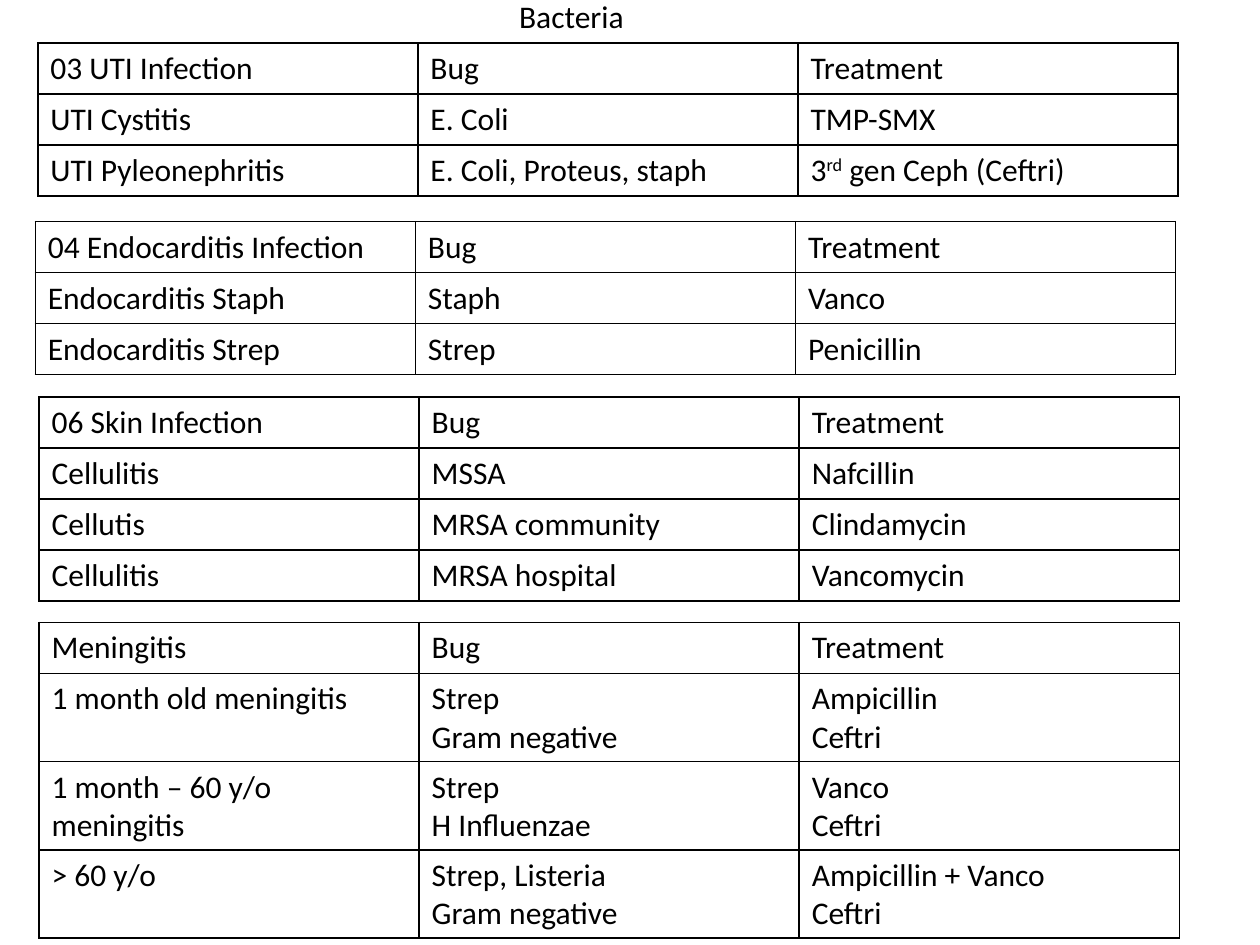
from lxml import etree
from pptx import Presentation
from pptx.dml.color import RGBColor
from pptx.enum import text
from pptx.oxml import ns
from pptx.util import Inches, Pt

COLORS = {"ink": "000000", "rule": "000000"}
COLUMN_WIDTH = Inches(9.05 / 3)
LINE_ROW = Inches(1.62 / 4)
DOUBLE_ROW = Inches(0.7)
HEADINGS = ["Bug", "Treatment"]

# left, top, first heading, body rows; a list inside a row holds paragraphs or,
# as a (text, baseline) tuple, spans of one paragraph
TABLES = [
    (0.3, 0.34, "03 UTI Infection", [
        ["UTI Cystitis", "E. Coli", "TMP-SMX"],
        ["UTI Pyleonephritis", "E. Coli, Proteus, staph",
         [[("3", 0), ("rd", 30), (" gen Ceph (Ceftri)", 0)]]],
    ]),
    (0.28, 1.76, "04 Endocarditis Infection", [
        ["Endocarditis Staph", "Staph", "Vanco"],
        ["Endocarditis Strep", "Strep", "Penicillin"],
    ]),
    (0.31, 3.15, "06 Skin Infection", [
        ["Cellulitis", "MSSA", "Nafcillin"],
        ["Cellutis", "MRSA community", "Clindamycin"],
        ["Cellulitis", "MRSA hospital", "Vancomycin"],
    ]),
    (0.31, 4.94, "Meningitis", [
        ["1 month old meningitis", ["Strep", "Gram negative"],
         ["Ampicillin", "Ceftri"]],
        ["1 month – 60 y/o meningitis", ["Strep", "H Influenzae"],
         ["Vanco", "Ceftri"]],
        ["> 60 y/o", ["Strep, Listeria", "Gram negative"],
         ["Ampicillin + Vanco", "Ceftri"]],
    ]),
]


def write(frame, content, font="Calibri", size=18, color="ink"):
    """Fill a text frame with one string or a list of paragraphs."""
    lines = content if isinstance(content, list) else [content]
    for index, line in enumerate(lines):
        para = frame.paragraphs[0] if index == 0 else frame.add_paragraph()
        para.alignment = text.PP_ALIGN.LEFT
        for words, baseline in line if isinstance(line, list) else [(line, 0)]:
            span = para.add_run()
            span.text = words
            span.font.name = font
            span.font.size = Pt(size)
            span.font.bold = False
            span.font.color.rgb = RGBColor.from_string(COLORS[color])
            if baseline:
                span._r.get_or_add_rPr().set("baseline", str(baseline * 1000))


class SlideBuilder:
    def __init__(self, deck, rule_width=1):
        self.page = deck.slides.add_slide(deck.slide_layouts[5])
        self.rule_width = Pt(rule_width)

    def title(self, words, left, top, width, height):
        box = self.page.shapes.title
        box.left, box.top = Inches(left), Inches(top)
        box.width, box.height = Inches(width), Inches(height)
        frame = box.text_frame
        frame.word_wrap = False
        frame.auto_size = text.MSO_AUTO_SIZE.SHAPE_TO_FIT_TEXT
        frame.vertical_anchor = text.MSO_ANCHOR.TOP
        write(frame, words)

    def border(self, cell):
        properties = cell._tc.get_or_add_tcPr()
        for side in ("a:lnL", "a:lnR", "a:lnT", "a:lnB"):
            line = etree.SubElement(properties, ns.qn(side), w=str(self.rule_width))
            fill = etree.SubElement(line, ns.qn("a:solidFill"))
            etree.SubElement(fill, ns.qn("a:srgbClr"), val=COLORS["rule"])

    def table(self, left, top, rows):
        heights = [
            DOUBLE_ROW if any(isinstance(item, list) and len(item) > 1 for item in row)
            else LINE_ROW
            for row in rows
        ]
        columns = len(rows[0])
        grid = self.page.shapes.add_table(
            len(rows), columns, Inches(left), Inches(top),
            COLUMN_WIDTH * columns, sum(heights)).table
        grid.first_row = grid.horz_banding = False
        for column in grid.columns:
            column.width = COLUMN_WIDTH
        for row_index, (row, height) in enumerate(zip(rows, heights)):
            grid.rows[row_index].height = height
            for column_index, content in enumerate(row):
                cell = grid.cell(row_index, column_index)
                self.border(cell)
                cell.fill.background()
                write(cell.text_frame, content)


def main():
    deck = Presentation()
    deck.slide_width, deck.slide_height = Inches(10), Inches(7.5)
    builder = SlideBuilder(deck)

    # Title
    builder.title("Bacteria", 4.02, -0.07, 1.04, 0.4)

    # One table per infection group
    for left, top, heading, rows in TABLES:
        builder.table(left, top, [[heading] + HEADINGS] + rows)

    deck.save("out.pptx")


if __name__ == "__main__":
    main()
